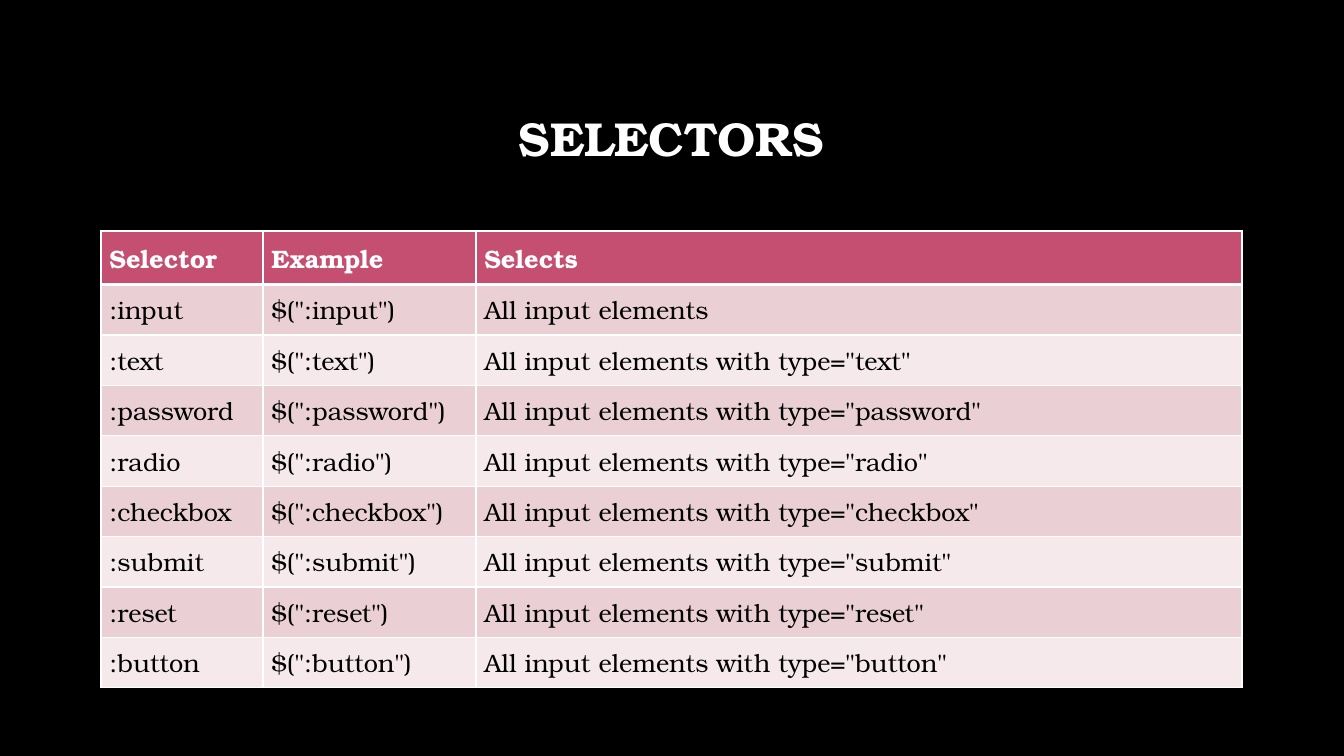
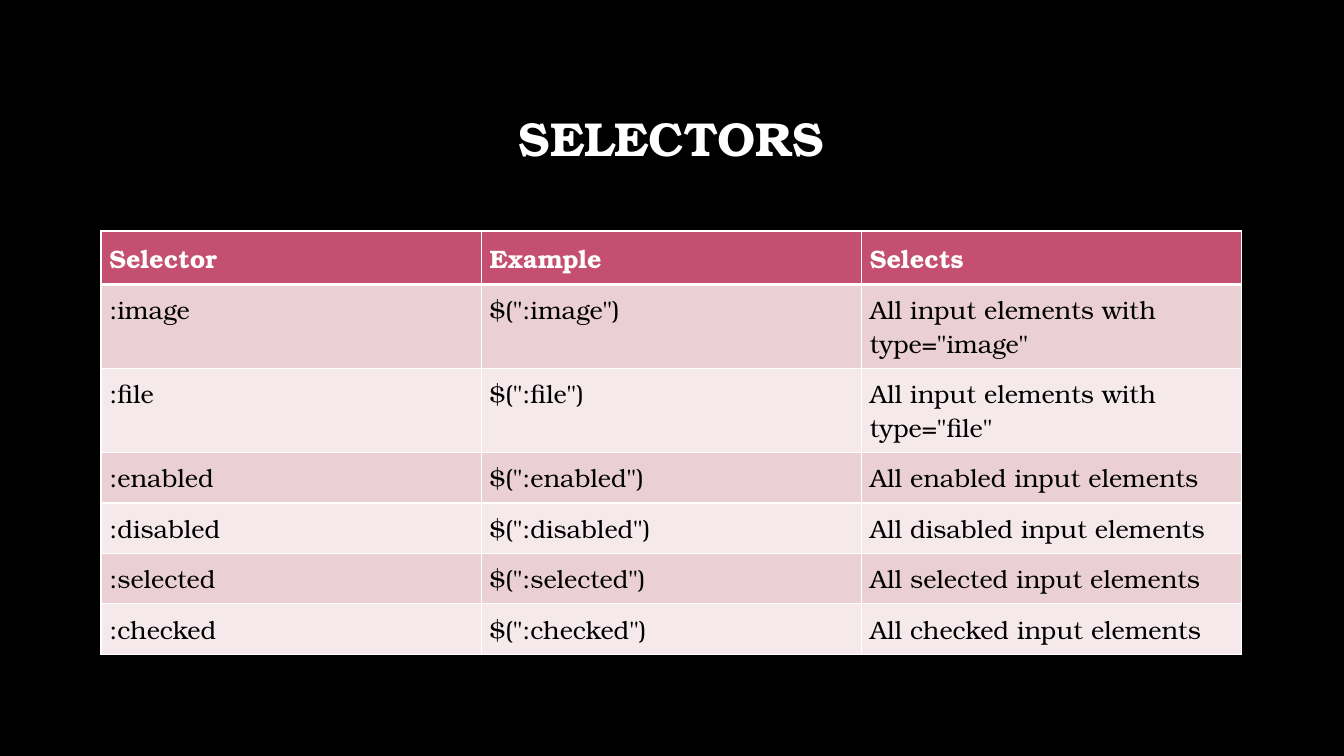
from lxml.etree import SubElement
from pptx import Presentation
from pptx.dml.color import RGBColor
from pptx.enum.text import MSO_ANCHOR as ANCHOR, PP_ALIGN as ALIGN
from pptx.oxml.ns import qn
from pptx.util import Emu, Pt

EMU_PER_PX = 914400 / 100.8
FONT = "TeX Gyre Bonum"
BLACK, WHITE = "000000", "FFFFFF"
HEADER_FILL = "C54F71"
BAND_FILLS = ("EAD0D5", "F5E9EB")
HEADER = ("Selector", "Example", "Selects")
TITLE_BOX = (101, 68, 1141, 146)
ROW_HEIGHT = 41
INSET = Pt(6)
THIN, THICK = 1, 3


def px(length):
    """Turn pixels into EMU."""
    return Emu(round(length * EMU_PER_PX))


def color(value):
    """Turn a hex string into a colour."""
    return RGBColor.from_string(value)


def write(tf, text, size=18, fill=BLACK, bold=False, align=None, spacing=None):
    """Put one formatted paragraph into a text frame."""
    p = tf.paragraphs[0]
    p.alignment = align
    p.line_spacing = spacing
    r = p.add_run()
    r.text = text
    r.font.name = FONT
    r.font.size = Pt(size)
    r.font.bold = bold
    r.font.color.rgb = color(fill)


def add_title(s, text, box):
    """Place the centred slide title in its box."""
    sp = s.shapes.title
    sp.left, sp.top, sp.width, sp.height = map(px, box)
    tf = sp.text_frame
    tf.word_wrap = True
    tf.vertical_anchor = ANCHOR.MIDDLE
    write(tf, text, size=34, fill=WHITE, bold=True,
          align=ALIGN.CENTER, spacing=0.9)


def set_borders(cell, top, bottom):
    """Draw white borders, with the given top and bottom widths."""
    tc_pr = cell._tc.get_or_add_tcPr()
    widths = {"L": THIN, "R": THIN, "T": top, "B": bottom}
    for side, width in widths.items():
        ln = SubElement(tc_pr, qn(f"a:ln{side}"), w=str(Pt(width)))
        SubElement(SubElement(ln, qn("a:solidFill")), qn("a:srgbClr"), val=WHITE)


def format_cell(cell, text, row):
    """Fill one cell in the style of its row."""
    is_header = row == 0
    cell.margin_left = cell.margin_right = INSET
    cell.margin_top = cell.margin_bottom = INSET
    set_borders(cell, top=THICK if row == 1 else THIN,
                bottom=THICK if is_header else THIN)
    cell.fill.solid()
    cell.fill.fore_color.rgb = color(
        HEADER_FILL if is_header else BAND_FILLS[(row - 1) % 2])
    write(cell.text_frame, text, fill=WHITE if is_header else BLACK,
          bold=is_header)


def add_selector_table(s, entries, box, shares):
    """Place a banded selector table, its columns sharing the box width."""
    rows = [HEADER] + [(f":{name}", f'$(":{name}")', selects)
                       for name, selects in entries]
    frame = s.shapes.add_table(len(rows), len(HEADER), *map(px, box))
    table = frame.table
    for column, share in zip(table.columns, shares):
        column.width = px(box[2] * share / sum(shares))
    for i, texts in enumerate(rows):
        table.rows[i].height = px(ROW_HEIGHT)
        for j, text in enumerate(texts):
            format_cell(table.cell(i, j), text, i)
    frame.height = px(box[3])


def add_selector_slide(prs, entries, height, shares):
    """Add a titled slide with one selector table."""
    s = prs.slides.add_slide(prs.slide_layouts[5])
    add_title(s, "SELECTORS", TITLE_BOX)
    add_selector_table(s, entries, (101, 231, 1141, height), shares)


def by_type(*names):
    """Describe selectors that match an input type."""
    return [(name, f'All input elements with type="{name}"') for name in names]


def by_state(*names):
    """Describe selectors that match an input state."""
    return [(name, f"All {name} input elements") for name in names]


prs = Presentation()
prs.slide_width, prs.slide_height = px(1344), px(756)
background = prs.slide_master.background.fill
background.solid()
background.fore_color.rgb = color(BLACK)

add_selector_slide(
    prs,
    [("input", "All input elements")]
    + by_type("text", "password", "radio", "checkbox", "submit", "reset", "button"),
    height=423, shares=(162, 213, 766))
add_selector_slide(
    prs,
    by_type("image", "file")
    + by_state("enabled", "disabled", "selected", "checked"),
    height=390, shares=(1, 1, 1))
prs.save("out.pptx")
